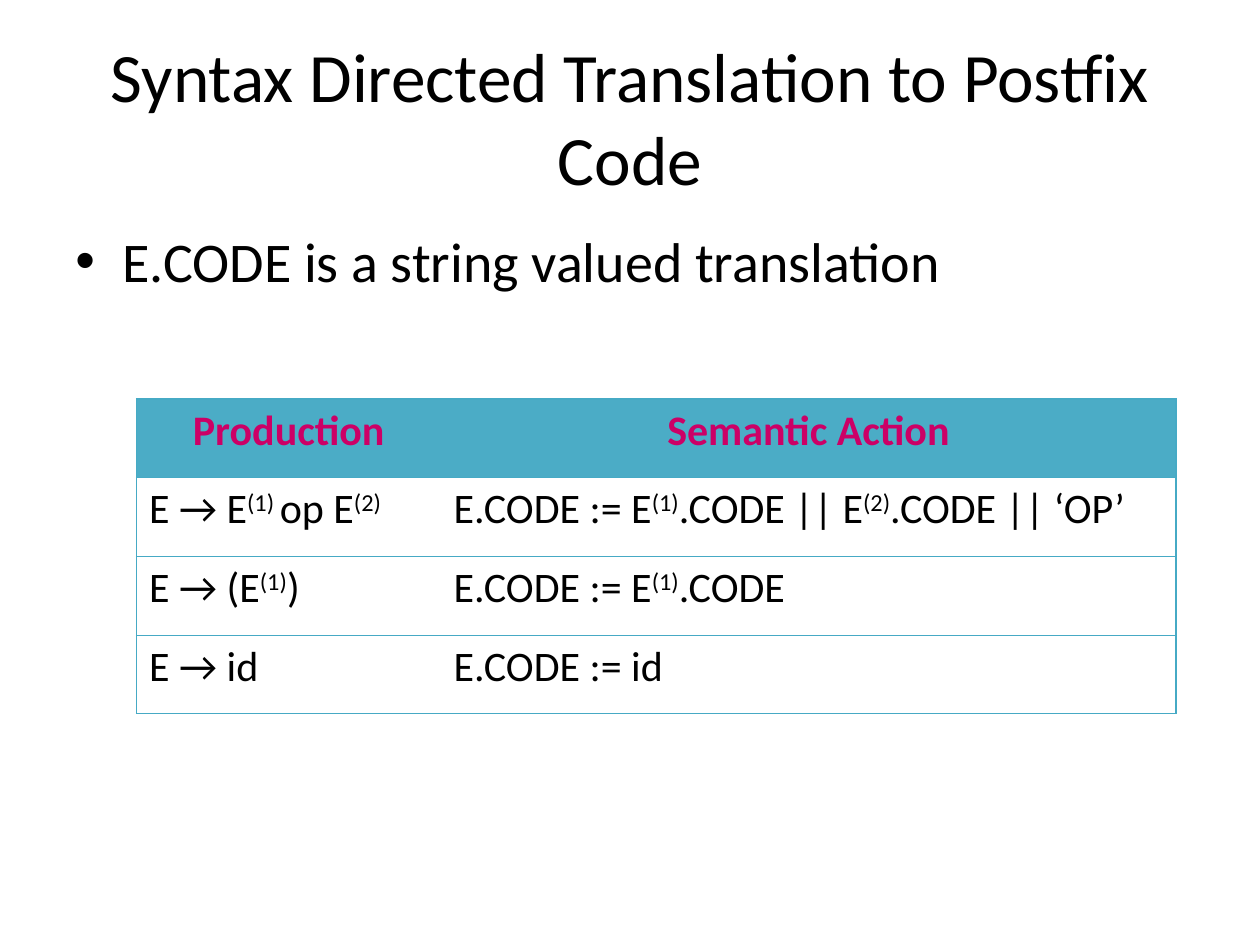
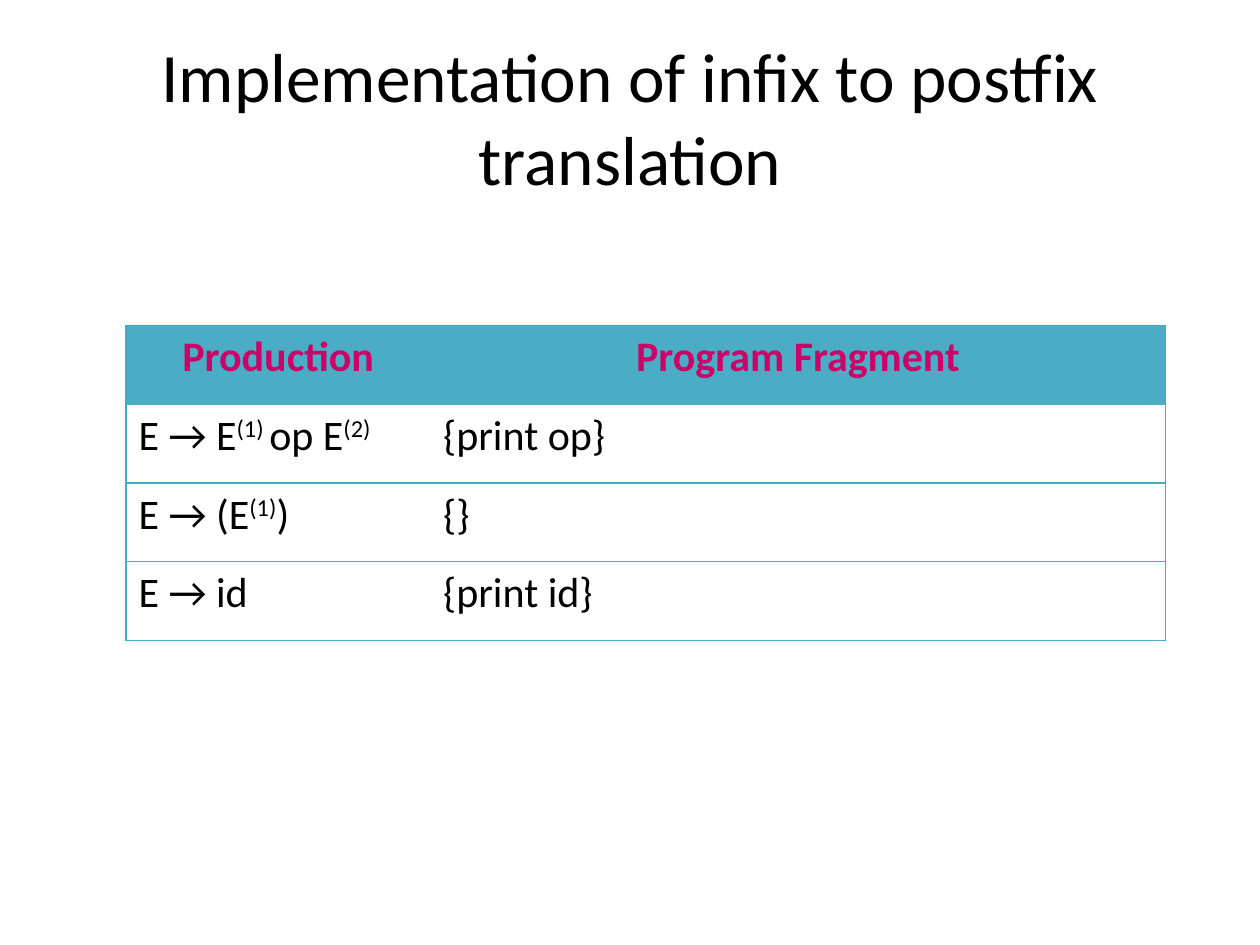
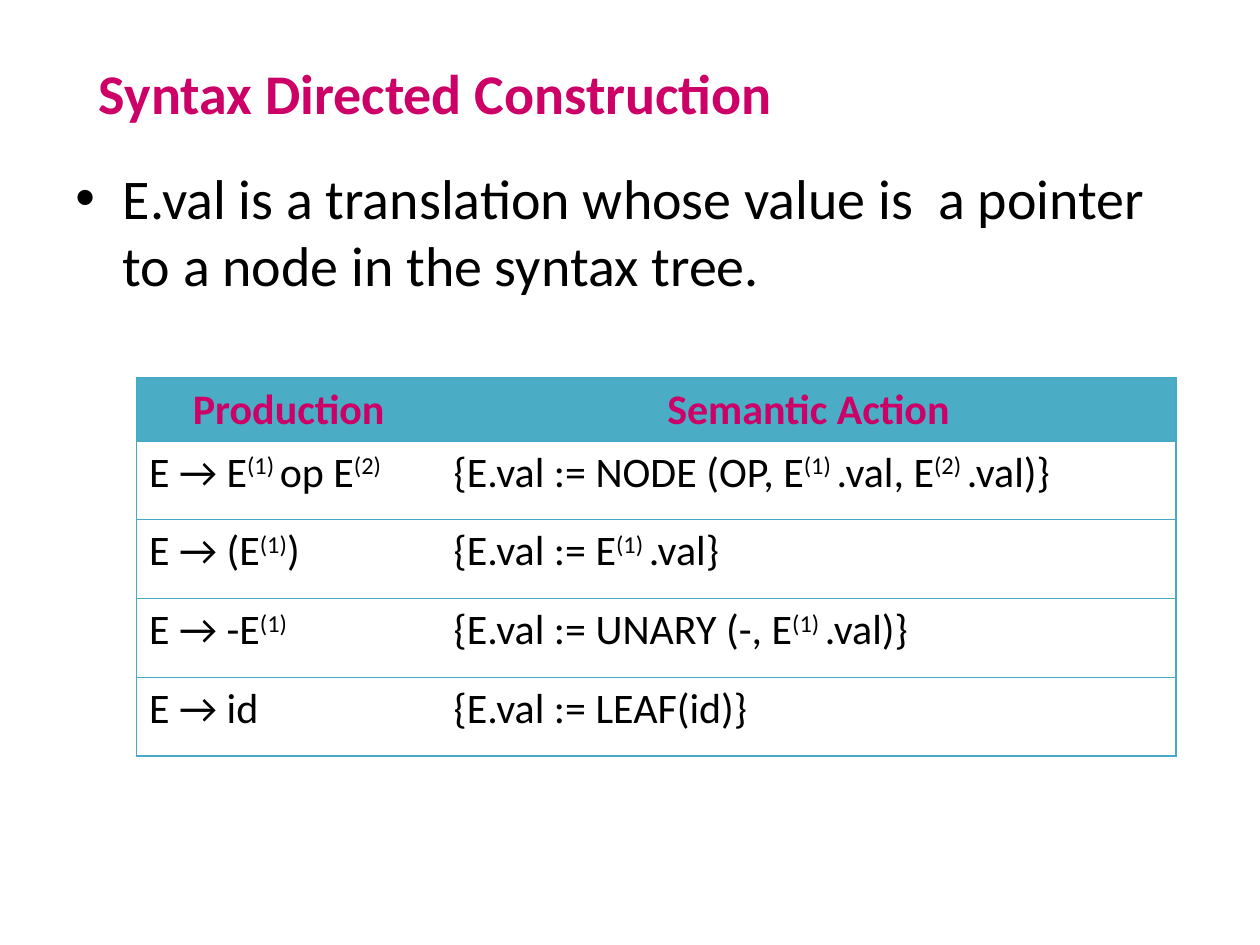
from lxml.etree import SubElement as Sub
from pptx import Presentation as Deck
from pptx.dml.color import RGBColor as Rgb
from pptx.enum.text import MSO_ANCHOR as Anchor, MSO_AUTO_SIZE as Fit, PP_ALIGN as Align
from pptx.oxml.ns import qn
from pptx.util import Pt

SCALE = 7620
FONT = "Calibri"
INK, PINK, TEAL, RULE = "000000", "CC0066", "4BACC6", "46AAC5"
COLS = 290, 700
ROW = 75
HANG = 45

SUM = "E → E^(1) ^op E^(2)"
GROUP = "E → (E^(1)^)"
LEAF = "E → id"


def px(num):
    """Turn whole px into EMU."""
    return num * SCALE


def tint(code):
    """Turn a hex string into a colour."""
    return Rgb.from_string(code)


def write(para, text, size, color=INK, bold=False):
    """Add runs to a paragraph; every second part between carets is raised."""
    for i, part in enumerate(text.split("^")):
        if not part:
            continue
        run = para.add_run()
        run.text = part
        font = run.font
        font.name, font.size, font.bold = FONT, Pt(size), bold
        font.color.rgb = tint(color)
        if i % 2:
            font._element.set("baseline", "30000")


def place(shape, box):
    """Move a shape to a box of left, top, width and height."""
    shape.left, shape.top, shape.width, shape.height = map(px, box)


def head(slide, box, text, size=39.6, color=INK, bold=False):
    """Fill and move the title placeholder."""
    place(slide.shapes.title, box)
    frame = slide.shapes.title.text_frame
    frame.word_wrap, frame.auto_size = True, Fit.NONE
    frame.vertical_anchor = Anchor.MIDDLE
    para = frame.paragraphs[0]
    para.alignment = Align.CENTER
    write(para, text, size, color, bold)


def point(slide, box, text):
    """Add one bulleted statement."""
    frame = slide.shapes.add_textbox(*map(px, box)).text_frame
    frame.word_wrap = True
    para = frame.paragraphs[0]
    para.space_before = Pt(6.4)
    props = para._p.get_or_add_pPr()
    props.set("marL", str(px(HANG)))
    props.set("indent", str(-px(HANG)))
    Sub(props, qn("a:buFont"), typeface="Arial")
    Sub(props, qn("a:buChar"), char="•")
    write(para, text, 32)


def edge(cell, side, shown):
    """Draw or clear one side of a cell."""
    line = Sub(cell._tc.get_or_add_tcPr(), qn("a:ln" + side), w=str(Pt(0.75)))
    if shown:
        fill = Sub(line, qn("a:solidFill"))
        Sub(fill, qn("a:srgbClr"), val=RULE)
    else:
        Sub(line, qn("a:noFill"))


def grid(slide, left, top, label, rules, first=ROW):
    """Add the table of productions and their actions."""
    rows = [("Production", label), *rules]
    tall = first + ROW * len(rules)
    box = left, top, sum(COLS), tall
    table = slide.shapes.add_table(len(rows), len(COLS), *map(px, box)).table
    table.horz_banding = False
    for col, wide in zip(table.columns, COLS):
        col.width = px(wide)
    for i, row in enumerate(rows):
        table.rows[i].height = px(ROW if i else first)
        for j, text in enumerate(row):
            cell = table.cell(i, j)
            for side, shown in zip("LRTB", (j == 0, j == 1, True, True)):
                edge(cell, side, shown)
            para = cell.text_frame.paragraphs[0]
            if i:
                cell.fill.background()
                write(para, text, 24)
            else:
                cell.fill.solid()
                cell.fill.fore_color.rgb = tint(TEAL)
                para.alignment = Align.CENTER
                write(para, text, 24, PINK, True)


def code(slide):
    """Build the slide on string valued translation."""
    head(slide, (60, 36, 1080, 150), "Syntax Directed Translation to Postfix Code")
    point(slide, (60, 210, 1070, 80), "E.CODE is a string valued translation")
    grid(slide, 130, 380, "Semantic Action", [
        (SUM, "E.CODE := E^(1)^.CODE || E^(2)^.CODE || ‘OP’"),
        (GROUP, "E.CODE := E^(1)^.CODE"),
        (LEAF, "E.CODE := id"),
    ])


def infix(slide):
    """Build the slide on printing postfix."""
    head(slide, (60, 36, 1080, 150), "Implementation of infix to postfix translation")
    grid(slide, 120, 310, "Program Fragment", [
        (SUM, "{print op}"),
        (GROUP, "{}"),
        (LEAF, "{print id}"),
    ])


def tree(slide):
    """Build the slide on syntax trees."""
    head(slide, (60, 36, 710, 104), "Syntax Directed Construction", 32, PINK, True)
    point(slide, (60, 150, 1100, 710),
          "E.val is a translation whose value is  a pointer to a node in the syntax tree.")
    grid(slide, 130, 360, "Semantic Action", [
        (SUM, "{E.val := NODE (OP, E^(1) ^.val, E^(2) ^.val)}"),
        (GROUP, "{E.val := E^(1) ^.val}"),
        ("E → -E^(1)", "{E.val := UNARY (-, E^(1) ^.val)}"),
        (LEAF, "{E.val := LEAF(id)}"),
    ], 60)


def main():
    """Build and save the deck."""
    deck = Deck()
    deck.slide_width, deck.slide_height = px(1200), px(900)
    for build in (code, infix, tree):
        build(deck.slides.add_slide(deck.slide_layouts[5]))
    deck.save("out.pptx")


if __name__ == "__main__":
    main()
